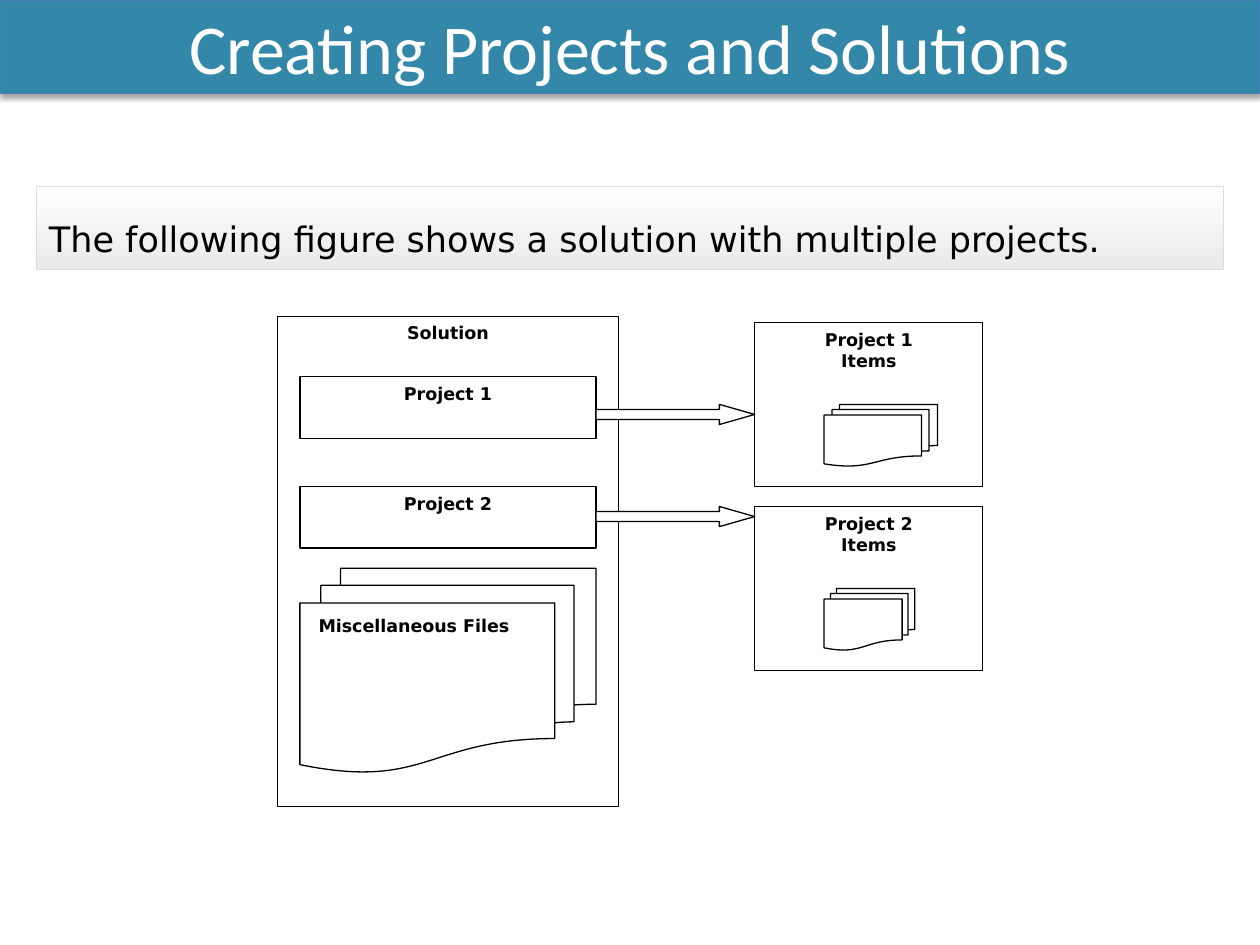
from dataclasses import dataclass

from lxml import etree
from pptx import Presentation
from pptx import util as u
from pptx.dml.color import RGBColor
from pptx.enum import shapes, text
from pptx.oxml import ns
from pptx.shapes.autoshape import Shape
from pptx.slide import Slide


@dataclass(frozen=True)
class Theme:
    white: str = "FFFFFF"
    black: str = "000000"
    banner: str = "3388A9"
    banner_line: str = "4B7EBC"
    panel_end: str = "EAEAEA"
    panel_line: str = "DDDDDD"
    title_font: str = "Calibri"
    body_font: str = "DejaVu Sans"
    title_size: int = 40
    body_size: int = 20
    label_size: int = 10
    line_width: float = 0.75


@dataclass(frozen=True)
class Box:
    left: float
    top: float
    width: float
    height: float

    def lengths(self) -> list[u.Length]:
        """Return the position and size as lengths."""
        return [u.Inches(value) for value in (self.left, self.top, self.width, self.height)]


@dataclass(frozen=True)
class Project:
    name: str
    box_top: float
    items_top: float
    arrow_top: float
    files_width: float


THEME = Theme()
KIND = shapes.MSO_SHAPE
SOLUTION = Box(2.2, 2.51, 2.71, 3.89)
INNER_LEFT, INNER_WIDTH = 2.38, 2.35
ITEMS_LEFT, ITEMS_WIDTH = 5.99, 1.81
PROJECTS = (
    Project("Project 1", 2.99, 2.56, 3.21, 0.9),
    Project("Project 2", 3.86, 4.02, 4.02, 0.72),
)


def add_outlined(slide: Slide, kind: KIND, box: Box, fill: str = THEME.white,
                 line: str = THEME.black, width: float = THEME.line_width) -> Shape:
    """Add a filled shape with an outline and no shadow."""
    shape = slide.shapes.add_shape(kind, *box.lengths())
    shape.shadow.inherit = False
    shape.fill.solid()
    shape.fill.fore_color.rgb = RGBColor.from_string(fill)
    shape.line.color.rgb = RGBColor.from_string(line)
    shape.line.width = u.Pt(width)
    return shape


def write(shape: Shape, lines: list[str], size: int = THEME.label_size,
          font: str = THEME.body_font, color: str = THEME.black, bold: bool = True,
          anchor: text.MSO_ANCHOR = text.MSO_ANCHOR.TOP,
          align: text.PP_ALIGN = text.PP_ALIGN.CENTER) -> None:
    """Write one paragraph for each line into a shape."""
    frame = shape.text_frame
    frame.word_wrap = True
    frame.vertical_anchor = anchor
    frame.text = "\n".join(lines)
    for paragraph in frame.paragraphs:
        paragraph.alignment = align
        paragraph.font.name = font
        paragraph.font.size = u.Pt(size)
        paragraph.font.bold = bold
        paragraph.font.color.rgb = RGBColor.from_string(color)


def add_labelled(slide: Slide, box: Box, *lines: str) -> None:
    """Add an outlined rectangle with a bold label."""
    write(add_outlined(slide, KIND.RECTANGLE, box), list(lines))


def add_solution(slide: Slide) -> None:
    """Draw the solution with its projects and miscellaneous files."""
    add_labelled(slide, SOLUTION, "Solution")
    for project in PROJECTS:
        add_labelled(slide, Box(INNER_LEFT, project.box_top, INNER_WIDTH, 0.49), project.name)
    add_outlined(slide, KIND.FLOWCHART_MULTIDOCUMENT, Box(INNER_LEFT, 4.51, INNER_WIDTH, 1.62))
    label = slide.shapes.add_textbox(*Box(INNER_LEFT, 4.83, 1.81, 0.65).lengths())
    write(label, ["Miscellaneous Files"])


def add_items(slide: Slide, project: Project) -> None:
    """Draw the items box and the stack of files of a project."""
    add_labelled(slide, Box(ITEMS_LEFT, project.items_top, ITEMS_WIDTH, 1.3), project.name, "Items")
    files = Box(6.54, project.items_top + 0.65, project.files_width, 0.49)
    add_outlined(slide, KIND.FLOWCHART_MULTIDOCUMENT, files)


def add_arrow(slide: Slide, project: Project) -> None:
    """Draw the block arrow from a project to its items."""
    left = INNER_LEFT + INNER_WIDTH
    arrow = add_outlined(slide, KIND.RIGHT_ARROW,
                         Box(left, project.arrow_top, ITEMS_LEFT - left, 0.16))
    arrow.adjustments[0] = 0.5
    arrow.adjustments[1] = 1.75


def add_drop_shadow(shape: Shape) -> None:
    """Put a soft shadow below a shape."""
    effects = shape._element.spPr.find(ns.qn("a:effectLst"))
    shadow = etree.SubElement(effects, ns.qn("a:outerShdw"), blurRad=str(u.Pt(3.1)),
                              dist=str(u.Pt(1.8)), dir="5400000", rotWithShape="0")
    color = etree.SubElement(shadow, ns.qn("a:srgbClr"), val=THEME.black)
    etree.SubElement(color, ns.qn("a:alpha"), val="35000")


def add_banner(slide: Slide) -> None:
    """Draw the title banner."""
    banner = add_outlined(slide, KIND.RECTANGLE, Box(0, 0, 10, 0.74),
                          THEME.banner, THEME.banner_line)
    add_drop_shadow(banner)
    write(banner, ["Creating Projects and Solutions"], THEME.title_size, THEME.title_font,
          THEME.white, False, text.MSO_ANCHOR.MIDDLE)


def add_panel(slide: Slide) -> None:
    """Draw the shaded panel with the introduction."""
    panel = add_outlined(slide, KIND.RECTANGLE, Box(0.29, 1.48, 9.42, 0.66),
                         line=THEME.panel_line, width=1)
    panel.fill.gradient()
    panel.fill.gradient_angle = 270
    for stop, position, color in zip(panel.fill.gradient_stops, (0, 1),
                                     (THEME.white, THEME.panel_end)):
        stop.position = position
        stop.color.rgb = RGBColor.from_string(color)
    write(panel, ["The following figure shows a solution with multiple projects."],
          THEME.body_size, bold=False, anchor=text.MSO_ANCHOR.MIDDLE, align=text.PP_ALIGN.LEFT)
    panel.text_frame.paragraphs[0].line_spacing = 1.5


def main() -> None:
    """Build and save the slide."""
    presentation = Presentation()
    presentation.slide_width = u.Inches(10)
    presentation.slide_height = u.Inches(7.5)
    slide = presentation.slides.add_slide(presentation.slide_layouts[6])
    add_solution(slide)
    for project in PROJECTS:
        add_items(slide, project)
    for project in PROJECTS:
        add_arrow(slide, project)
    add_banner(slide)
    add_panel(slide)
    presentation.save("out.pptx")


if __name__ == "__main__":
    main()
